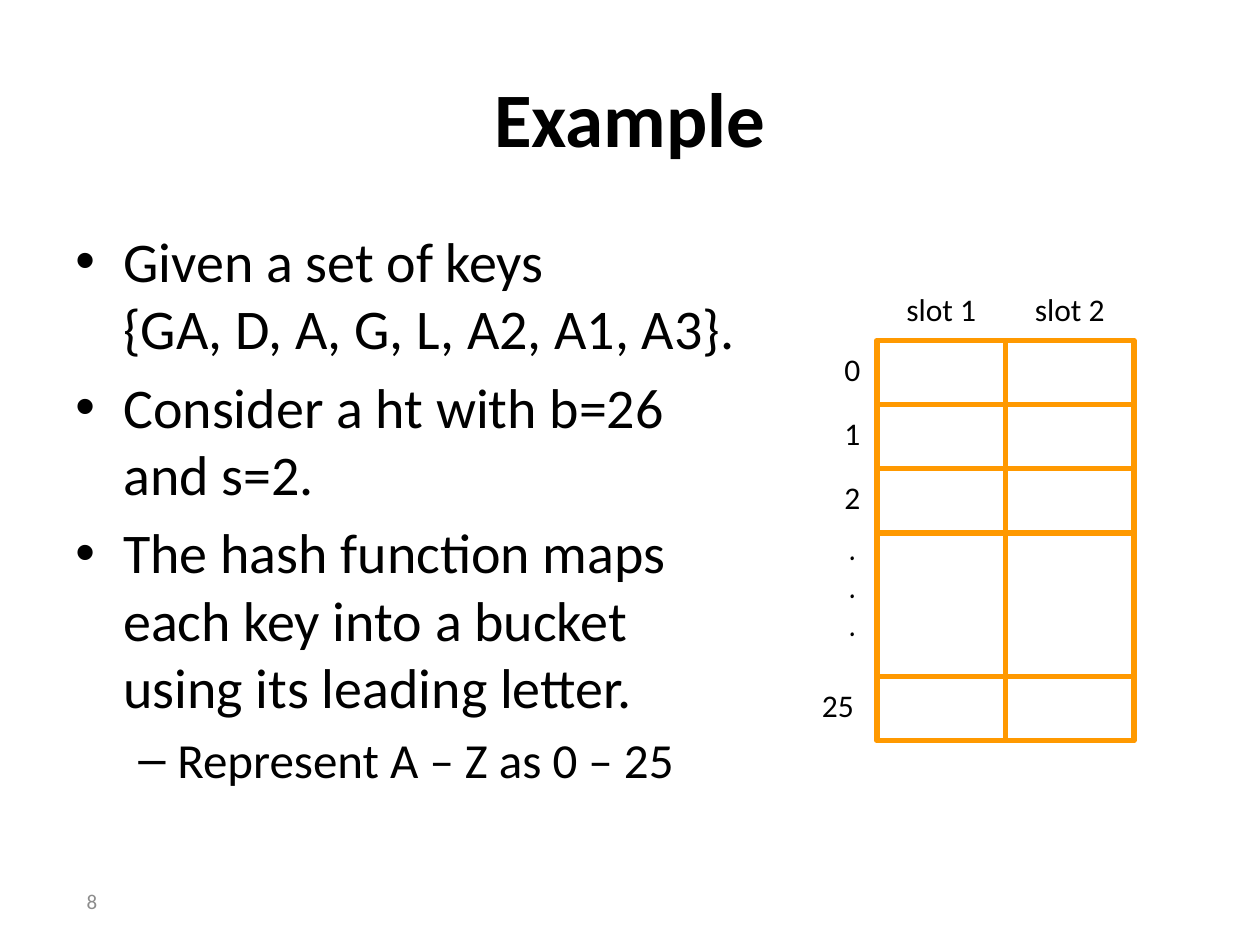
import pptx
import pptx.util
import pptx.dml.color
import pptx.enum.shapes
import pptx.enum.text
import pptx.oxml
import lxml.etree
from dataclasses import dataclass
from pptx.util import Inches


@dataclass(frozen=True)
class Theme:
    ink: str = "000000"
    muted: str = "8C8C8C"
    grid: str = "FF9900"
    font: str = "Calibri"
    dots_font: str = "Comic Neue"
    title: int = 44
    body: int = 32
    sub: int = 28
    label: int = 18
    footer: int = 12
    grid_line: int = 3


theme = Theme()
ALIGN = pptx.enum.text.PP_ALIGN
ANCHOR = pptx.enum.text.MSO_ANCHOR


def write(paragraph, text, size, color=theme.ink, font=theme.font, bold=False,
          align=ALIGN.LEFT, before=0, bullet=None, margin=0, hanging=0, level=0):
    """Put text in a paragraph and format it."""
    paragraph.text = text
    paragraph.alignment = align
    paragraph.level = level
    paragraph.space_before = pptx.util.Pt(before)
    paragraph.font.size = pptx.util.Pt(size)
    for run in paragraph.runs:
        run.font.size = pptx.util.Pt(size)
        run.font.name = font
        run.font.bold = bold
        run.font.color.rgb = pptx.dml.color.RGBColor.from_string(color)
    if bullet:
        properties = paragraph._p.get_or_add_pPr()
        properties.set("marL", str(Inches(margin)))
        properties.set("indent", str(-Inches(hanging)))
        for tag, name, value in (("a:buFont", "typeface", "Arial"),
                                 ("a:buChar", "char", bullet)):
            mark = lxml.etree.SubElement(properties, pptx.oxml.ns.qn(tag))
            mark.set(name, value)


def text_frame(shapes, left, top, width, height, inset=0.05, anchor=ANCHOR.TOP):
    """Add a wrapping text box and return its frame."""
    frame = shapes.add_textbox(Inches(left), Inches(top),
                               Inches(width), Inches(height)).text_frame
    frame.word_wrap = True
    frame.vertical_anchor = anchor
    frame.margin_left = frame.margin_right = Inches(0.1)
    frame.margin_top = frame.margin_bottom = Inches(inset)
    return frame


deck = pptx.Presentation()
deck.slide_width, deck.slide_height = Inches(10), Inches(7.5)
slide = deck.slides.add_slide(deck.slide_layouts[5])

# Title
title = slide.shapes.title
title.left, title.top = Inches(0.5), Inches(0.3)
title.width, title.height = Inches(9), Inches(1.25)
title.text_frame.vertical_anchor = ANCHOR.MIDDLE
write(title.text_frame.paragraphs[0], "Example", theme.title, bold=True,
      align=ALIGN.CENTER)

# Bulleted explanation
points = [
    (0, "Given a set of keys \n{GA, D, A, G, L, A2, A1, A3}."),
    (0, "Consider a ht with b=26 and s=2."),
    (0, "The hash function maps each key into a bucket using its leading letter."),
    (1, "Represent A – Z as 0 – 25"),
]
levels = [
    dict(size=theme.body, bullet="•", margin=0.38, hanging=0.38),
    dict(size=theme.sub, bullet="–", margin=0.81, hanging=0.31),
]
explanation = text_frame(slide.shapes, 0.5, 1.75, 5.58, 4.95)
for index, (level, point) in enumerate(points):
    paragraph = explanation.add_paragraph() if index else explanation.paragraphs[0]
    write(paragraph, point, level=level, before=0.2 * levels[level]["size"],
          **levels[level])

# Hash table: one row of slots per bucket
hash_table = slide.shapes.add_group_shape().shapes
grid_left, grid_top, slot_width = 6.96, 2.7, 1.02
bucket_height, gap_height, label_height = 0.51, 1.14, 0.66
slots = ["slot 1", "slot 2"]
buckets = ["0", "1", "2", "...", "25"]

for column, slot in enumerate(slots):
    heading = text_frame(hash_table, grid_left + column * slot_width, 2.15,
                         slot_width, label_height, inset=0.15)
    write(heading.paragraphs[0], slot, theme.label, align=ALIGN.CENTER)

row_top = grid_top
for bucket in buckets:
    skipped = bucket == "..."
    row_height = gap_height if skipped else bucket_height

    for column in range(len(slots)):
        cell = hash_table.add_shape(
            pptx.enum.shapes.MSO_SHAPE.RECTANGLE,
            Inches(grid_left + column * slot_width), Inches(row_top),
            Inches(slot_width), Inches(row_height))
        cell.shadow.inherit = False
        cell.fill.background()
        cell.line.color.rgb = pptx.dml.color.RGBColor.from_string(theme.grid)
        cell.line.width = pptx.util.Pt(theme.grid_line)

    # Bucket number, or one dot per line for the skipped buckets
    width = 0.62 if bucket == "25" else 0.39
    height = 1.36 if skipped else label_height
    top = 4.05 if skipped else row_top + (row_height - height) / 2
    label = text_frame(hash_table, grid_left - width, top, width, height, inset=0.15)
    for index, line in enumerate(bucket if skipped else [bucket]):
        paragraph = label.add_paragraph() if index else label.paragraphs[0]
        write(paragraph, line, theme.label, align=ALIGN.CENTER, bold=skipped,
              font=theme.dots_font if skipped else theme.font)
    row_top += row_height

# Page number
page = text_frame(slide.shapes, -1.46, 6.95, 2.33, 0.4, anchor=ANCHOR.MIDDLE)
write(page.paragraphs[0], "8", theme.footer, color=theme.muted, align=ALIGN.RIGHT)

deck.save("out.pptx")
